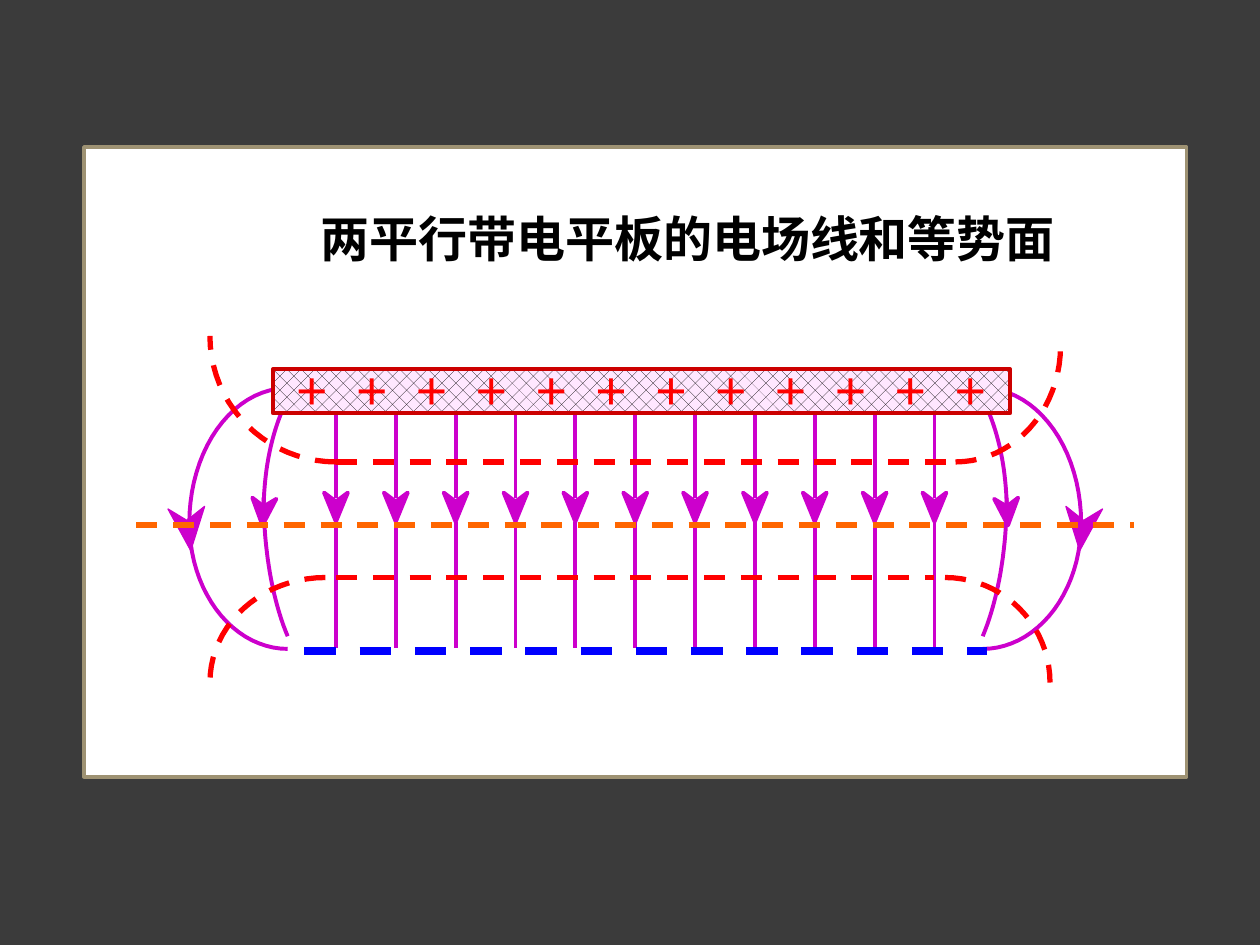
import math
from dataclasses import dataclass

import pptx
import pptx.dml.color
import pptx.enum.dml
import pptx.enum.shapes
import pptx.enum.text
import pptx.oxml.ns
import pptx.util
from lxml import etree

Pt = pptx.util.Pt


@dataclass(frozen=True)
class Theme:
    """Colours, type sizes and line widths of the slide."""
    back: str = "3B3B3B"
    panel: str = "FFFFFF"
    frame: str = "9E9273"
    ink: str = "000000"
    field: str = "CC00CC"
    plate: str = "FFE7FF"
    plate_edge: str = "CC0000"
    negative: str = "0000FF"
    equal: str = "FF0000"
    middle: str = "FF6600"
    font: str = "Times New Roman"
    title_size: float = 28
    sign_size: float = 32
    thin: float = 0.75
    frame_width: float = 2
    medium: float = 2.25
    dashed: float = 3
    heavy: float = 4.5


@dataclass(frozen=True)
class Box:
    """A region in points."""
    left: float
    top: float
    width: float
    height: float

    def lengths(self):
        """Return the four sides as lengths."""
        return [Pt(v) for v in (self.left, self.top, self.width, self.height)]


T = Theme()
PITCH = 34.2


def rgb(value):
    """Turn a hex string into a colour."""
    return pptx.dml.color.RGBColor.from_string(value)


def style_line(shape, color, width, dash=False):
    """Set colour, width and dash of an outline."""
    shape.line.color.rgb = rgb(color)
    shape.line.width = Pt(width)
    if dash:
        shape.line.dash_style = pptx.enum.dml.MSO_LINE.DASH


def add_rect(s, box, color, width):
    """Add an outlined rectangle without shadow."""
    sp = s.shapes.add_shape(pptx.enum.shapes.MSO_SHAPE.RECTANGLE, *box.lengths())
    sp.shadow.inherit = False
    style_line(sp, color, width)
    return sp


def add_line(s, x1, y1, x2, y2, color, width, dash=False):
    """Add a straight line without shadow."""
    line = s.shapes.add_connector(pptx.enum.shapes.MSO_CONNECTOR.STRAIGHT,
                                  Pt(x1), Pt(y1), Pt(x2), Pt(y2))
    style_line(line, color, width, dash)
    sp_pr = line.element.find(pptx.oxml.ns.qn("p:spPr"))
    etree.SubElement(sp_pr, pptx.oxml.ns.qn("a:effectLst"))


def add_path(s, points, color, width, dash=False, filled=False):
    """Add an open curve, or a closed and filled outline."""
    points = [(Pt(x), Pt(y)) for x, y in points]
    builder = s.shapes.build_freeform(*points[0], scale=1.0)
    builder.add_line_segments(points[1:], close=filled)
    sp = builder.convert_to_shape()
    sp.shadow.inherit = False
    if filled:
        sp.fill.solid()
        sp.fill.fore_color.rgb = rgb(color)
    else:
        sp.fill.background()
    style_line(sp, color, width, dash)


def arc(cx, cy, rx, ry, start, end, steps=20):
    """Return points along an ellipse, with degrees clockwise from the right."""
    angles = [math.radians(start + (end - start) * i / steps) for i in range(steps + 1)]
    return [(cx + rx * math.cos(a), cy + ry * math.sin(a)) for a in angles]


def add_run(p, text, size, color):
    """Add a bold run to a paragraph."""
    r = p.add_run()
    r.text = text
    r.font.name = T.font
    r.font.size = Pt(size)
    r.font.bold = True
    r.font.color.rgb = rgb(color)


def add_panel(s, box):
    """Place the white panel behind the title."""
    sp = add_rect(s, box, T.frame, T.frame_width)
    sp.fill.solid()
    sp.fill.fore_color.rgb = rgb(T.panel)
    s.shapes.title.element.addprevious(sp.element)


def add_title(s, box):
    """Place and format the title."""
    sp = s.shapes.title
    sp.left, sp.top, sp.width, sp.height = box.lengths()
    tf = sp.text_frame
    tf.word_wrap = True
    tf.auto_size = pptx.enum.text.MSO_AUTO_SIZE.NONE
    tf.vertical_anchor = pptx.enum.text.MSO_ANCHOR.MIDDLE
    p = tf.paragraphs[0]
    p.alignment = pptx.enum.text.PP_ALIGN.CENTER
    add_run(p, "两平行带电平板的电场线和等势面", T.title_size, T.ink)


def add_field(s, box):
    """Draw the straight field lines and the mirrored curves at both edges."""
    center, top = box.left + box.width / 2, box.top
    head = [(-6.8, 59.5), (0, 76.1), (6.8, 59.5), (0, 64.6)]
    for i in range(-5, 6):
        x = center + i * PITCH
        add_line(s, x, top + 14.9, x, top + 62.4, T.field, T.medium)
        add_path(s, [(x + dx, top + dy) for dx, dy in head], T.field, T.medium, filled=True)
        add_line(s, x, top + 76.1, x, top + box.height, T.field, T.medium)

    curves = [arc(168, 70.3, 44.3, 88.6, -45, 0), arc(165.5, 62.4, 46.8, 112, 0, 45),
              arc(198.6, 76.8, 56.2, 77, -88, 0), arc(198.6, 76.8, 56.2, 72, 5, 90)]
    heads = [([(205.1, 63.1), (213, 78.2), (218.8, 62.4), (212.3, 67.4)], T.medium),
             ([(246.1, 67.4), (254, 92.6), (267, 68.9), (256.2, 75.4)], T.thin)]
    parts = [(c, T.medium, False) for c in curves] + [(h, w, True) for h, w in heads]
    for side in (1, -1):
        for points, width, filled in parts:
            add_path(s, [(center + side * dx, top + dy) for dx, dy in points],
                     T.field, width, filled=filled)


def add_plates(s, box):
    """Draw the negative plate and the positive plate with its signs."""
    bottom = box.top + box.height
    add_line(s, box.left + 18, bottom, box.left + 408, bottom, T.negative, T.heavy, True)
    sp = add_rect(s, Box(box.left, box.top, box.width, 25.2), T.plate_edge, T.medium)
    sp.fill.patterned()
    sp.fill.pattern = pptx.enum.dml.MSO_PATTERN.PERCENT_25
    sp.fill.fore_color.rgb = rgb(T.ink)
    sp.fill.back_color.rgb = rgb(T.plate)

    signs = Box(box.left + 6, box.top - 18.8, box.width - 1.2, 55.4)
    tf = s.shapes.add_textbox(*signs.lengths()).text_frame
    tf.word_wrap = True
    tf.margin_top = Pt(10.7)
    p = tf.paragraphs[0]
    p.alignment = pptx.enum.text.PP_ALIGN.LEFT
    tabs = etree.SubElement(p._p.get_or_add_pPr(), pptx.oxml.ns.qn("a:tabLst"))
    for i in range(1, 12):
        etree.SubElement(tabs, pptx.oxml.ns.qn("a:tab"), pos=str(Pt(i * PITCH)), algn="l")
    add_run(p, "\t".join("+" * 12), T.sign_size, T.equal)


def add_equipotentials(s, box):
    """Draw the middle line and the two bent equipotential lines."""
    x, y = box.left, box.top
    lines = [(0, box.width, 108, T.middle), (114, 456, 138, T.equal), (114, 468, 72, T.equal)]
    for x1, x2, dy, color in lines:
        add_line(s, x + x1, y + dy, x + x2, y + dy, color, T.dashed, True)
    bends = [(462, 198, 60, 60, -90, 0), (108, 198, 66, 60, -90, -180),
             (468, 6, 60, 66, 90, 0), (114, 0, 72, 72, 90, 180)]
    for cx, cy, *rest in bends:
        add_path(s, arc(x + cx, y + cy, *rest), T.equal, T.dashed, True)


def main():
    """Build and save the slide."""
    prs = pptx.Presentation()
    prs.slide_width, prs.slide_height = Pt(720), Pt(540)
    s = prs.slides.add_slide(prs.slide_layouts[5])
    s.background.fill.solid()
    s.background.fill.fore_color.rgb = rgb(T.back)
    add_panel(s, Box(48, 84, 630, 360))
    add_title(s, Box(138, 115.2, 510, 41))
    add_field(s, Box(96, 222, 534, 148.1))
    add_plates(s, Box(156, 211, 421.2, 161))
    add_equipotentials(s, Box(78, 192, 570, 198))
    prs.save("out.pptx")


if __name__ == "__main__":
    main()
